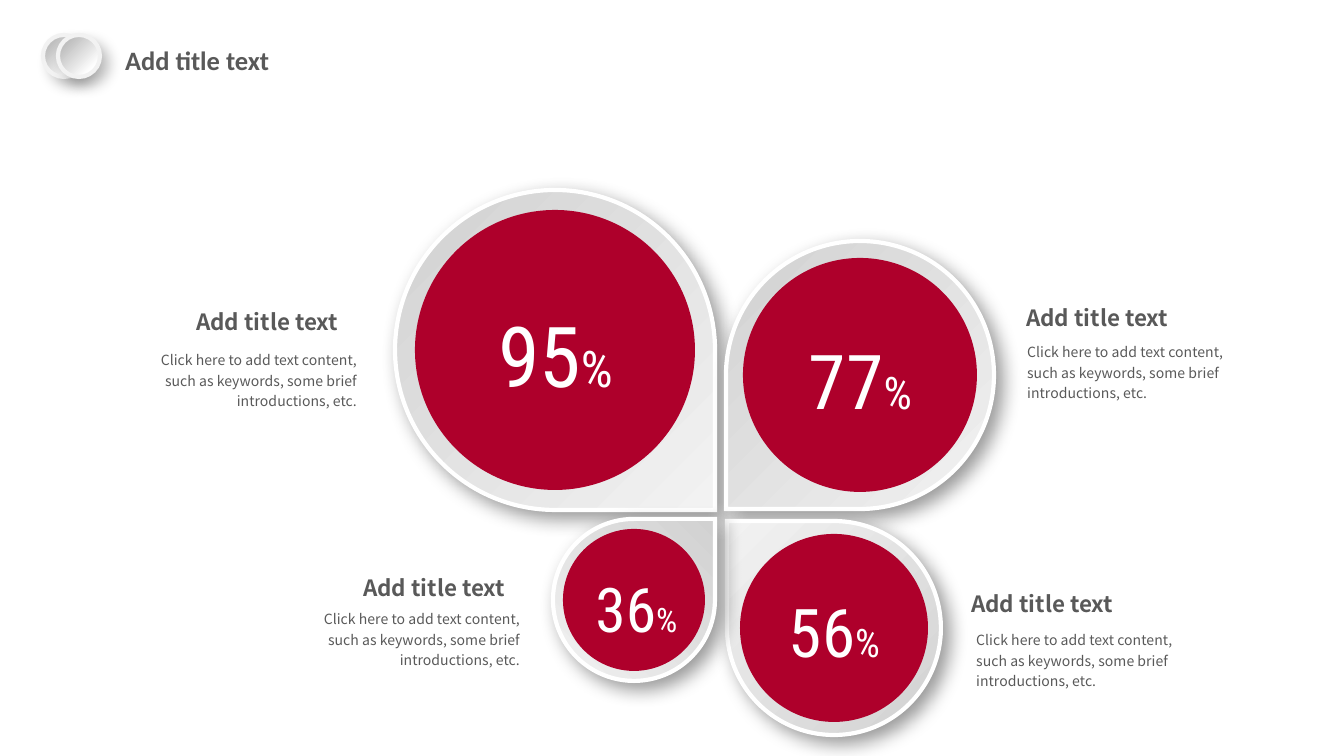
from lxml.etree import SubElement
from pptx import Presentation
from pptx.dml.color import RGBColor
from pptx.enum.shapes import MSO_SHAPE
from pptx.enum.text import PP_ALIGN
from pptx.oxml.ns import qn
from pptx.util import Pt

PX = 914400 / 134.4
COLORS = {
    "red": "AE002B", "text": "595959", "white": "FFFFFF", "black": "000000",
    "rim": "F2F2F2", "silver": "BFBFBF", "petal_dark": "D1D1D1", "petal_light": "F2F2F2",
}
BODY_FONT = "Noto Sans CJK SC"
NUMBER_FONT = "Roboto Condensed"

TITLE = "Add title text"
HEADING = "Add title text"
BODY = "Click here to add text content, such as keywords, some brief introductions, etc."

# centre, radius, rotation, gradient angle on the slide, disc radius,
# number, number size, percent size, number box (left, top, height)
PETALS = [
    ((555, 350), 160, 90, 45, 140, "95", 45, 27, (479, 297, 116)),
    ((860, 375), 134, 180, 45, 117, "77", 40.5, 24, (784, 327, 105)),
    ((834, 628), 107, 270, 225, 94, "56", 36, 21, (758, 584, 95)),
    ((634, 600), 81, 0, 135, 71, "36", 33, 18, (560, 564, 89)),
]
NUMBER_WIDTH = 153

# heading box (left, top, width), body position (left, top), body alignment
CAPTIONS = [
    ((183, 302, 195), (123, 342), PP_ALIGN.RIGHT),
    ((1013, 298, 215), (1014, 334), PP_ALIGN.LEFT),
    ((350, 568, 195), (286, 601), PP_ALIGN.RIGHT),
    ((958, 584, 215), (963, 622), PP_ALIGN.LEFT),
]
HEADING_HEIGHT = 40
BODY_SIZE = (247, 73)


def emu(*lengths):
    return [round(length * PX) for length in lengths]


def rgb(name):
    return RGBColor.from_string(COLORS[name])


def fill_gradient(shape, stops, clockwise_angle):
    """The angle is as seen on the slide, whatever the shape's rotation."""
    shape.fill.gradient()
    shape.fill.gradient_angle = (shape.rotation - clockwise_angle) % 360
    for stop, (position, color) in zip(shape.fill.gradient_stops, stops):
        stop.position = position
        stop.color.rgb = rgb(color)


def set_line(shape, color):
    shape.line.color.rgb = rgb(color)
    shape.line.width = Pt(2.25)
    SubElement(shape._element.spPr.find(qn("a:ln")), qn("a:miter"), lim="800000")


def cast_shadow(shape, opacity, blur, distance):
    """Outer shadow towards the lower right; blur and distance in points."""
    shape.shadow.inherit = False
    effects = shape._element.spPr.find(qn("a:effectLst"))
    shadow = SubElement(effects, qn("a:outerShdw"), blurRad=str(Pt(blur)),
                        dist=str(Pt(distance)), dir="2700000", algn="tl", rotWithShape="0")
    color = SubElement(shadow, qn("a:srgbClr"), val=COLORS["black"])
    SubElement(color, qn("a:alpha"), val=str(opacity * 1000))


def add_round(slide, preset, center, radius):
    x, y = center
    return slide.shapes.add_shape(
        preset, *emu(x - radius, y - radius, 2 * radius, 2 * radius))


def add_text(slide, box, parts, font, color, align=PP_ALIGN.LEFT,
             bold=False, wrap=True, spacing=None):
    """Parts are (text, size) pairs of one paragraph."""
    frame = slide.shapes.add_textbox(*emu(*box)).text_frame
    frame.word_wrap = wrap
    paragraph = frame.paragraphs[0]
    paragraph.alignment = align
    paragraph.line_spacing = spacing
    for text, size in parts:
        run = paragraph.add_run()
        run.text = text
        run.font.size = Pt(size)
        run.font.name = font
        run.font.bold = bold
        run.font.color.rgb = rgb(color)


def main():
    deck = Presentation()
    deck.slide_width, deck.slide_height = emu(1344, 756)
    slide = deck.slides.add_slide(deck.slide_layouts[6])

    add_text(slide, (112, 37, 173, 46), [(TITLE, 14.2)], "Calibri", "text",
             bold=True, wrap=False)
    for x in (64, 79):
        ring = add_round(slide, MSO_SHAPE.OVAL, (x, 56), 21)
        fill_gradient(ring, [(0.2, "silver"), (0.8, "white")], 45)
        set_line(ring, "rim")
        cast_shadow(ring, 23, 7, 5.9)

    for center, radius, rotation, angle, disc_radius, *_ in PETALS:
        petal = add_round(slide, MSO_SHAPE.TEAR, center, radius)
        petal.rotation = rotation
        fill_gradient(petal, [(0, "petal_dark"), (1, "petal_light")], angle)
        set_line(petal, "white")
        cast_shadow(petal, 40, 10, 5)

        disc = add_round(slide, MSO_SHAPE.OVAL, center, disc_radius)
        disc.fill.solid()
        disc.fill.fore_color.rgb = rgb("red")
        disc.line.fill.background()
        disc.shadow.inherit = False

    for *_, number, size, percent_size, (left, top, height) in PETALS:
        add_text(slide, (left, top, NUMBER_WIDTH, height),
                 [(number, size), ("%", percent_size)],
                 NUMBER_FONT, "white", PP_ALIGN.CENTER)

    for heading_box, body_position, align in CAPTIONS:
        add_text(slide, (*heading_box, HEADING_HEIGHT), [(HEADING, 12)],
                 BODY_FONT, "text", bold=True)
        add_text(slide, (*body_position, *BODY_SIZE), [(BODY, 7.5)],
                 BODY_FONT, "text", align, spacing=1.2)

    deck.save("out.pptx")


if __name__ == "__main__":
    main()
